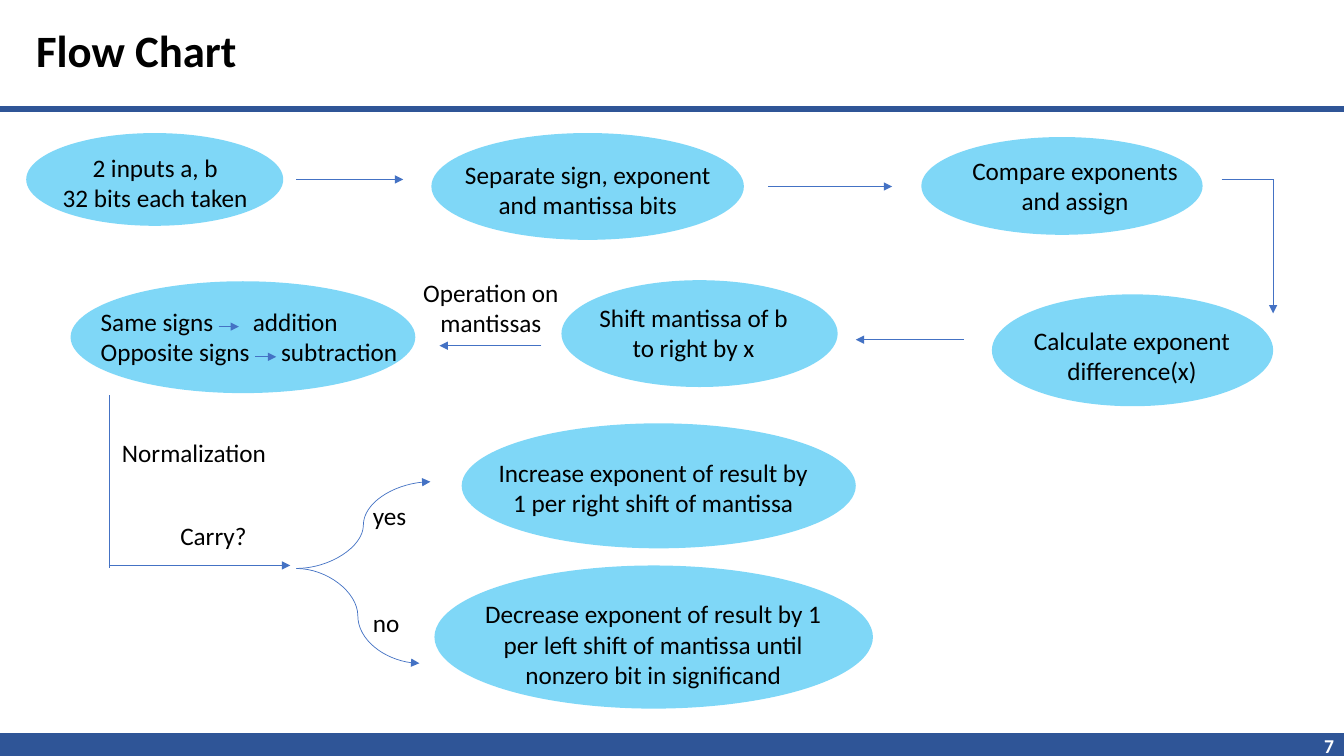
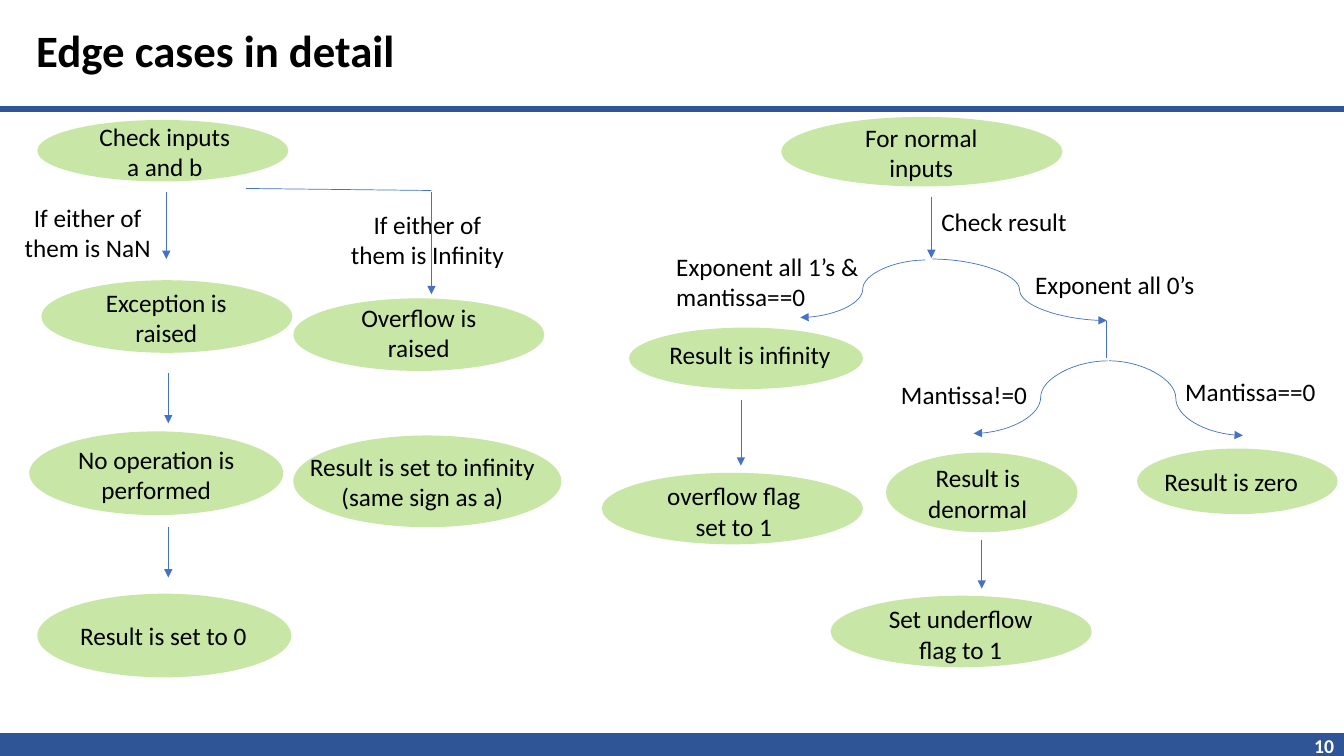
from pptx import Presentation
from pptx import util as u
from pptx.dml.color import RGBColor
from pptx.enum import shapes, text
from pptx.oxml.ns import qn
from lxml import etree

NAVY = RGBColor(0x2F, 0x55, 0x97)
BLUE = RGBColor(0x44, 0x72, 0xC4)
SKY = RGBColor(0x00, 0xB0, 0xF0)
GREEN = RGBColor(0x92, 0xD0, 0x50)
BLACK = RGBColor(0, 0, 0)
WHITE = RGBColor(255, 255, 255)

CELL = u.Inches(0.1)
COLS, ROWS = 133.33, 75
PAGE = (0, 0)
MID, LEFT, RIGHT = text.PP_ALIGN.CENTER, text.PP_ALIGN.LEFT, text.PP_ALIGN.RIGHT
BODY = {"size": u.Pt(18), "name": "Calibri", "bold": False}
TITLE = {"size": u.Pt(32), "name": "Calibri", "bold": True}
PAGENO = {"size": u.Pt(14), "name": "Calibri", "bold": True}
STRAIGHT, CURVE = shapes.MSO_CONNECTOR.STRAIGHT, shapes.MSO_CONNECTOR.CURVE


def spot(box, *cells):
    """Turn column and row pairs within a box into lengths on the slide."""
    shift = (box[0], box[1], 0, 0)
    return [int((cell + start) * CELL) for cell, start in zip(cells, shift)]


def ends(box, cells):
    """Turn the two end points of a line into lengths on the slide."""
    return spot(box, *cells[:2]) + spot(box, *cells[2:])


def write(slide, box, area, lines, align=MID, style=BODY, color=BLACK, tabs=()):
    """Write lines of text in an area and return its frame."""
    frame = slide.shapes.add_textbox(*spot(box, *area)).text_frame
    frame.word_wrap = True
    for i, line in enumerate(lines):
        para = frame.add_paragraph() if i else frame.paragraphs[0]
        para.alignment = align
        run = para.add_run()
        run.text = line
        for key, value in style.items():
            setattr(run.font, key, value)
        run.font.color.rgb = color
        if tabs:
            stops = etree.SubElement(para._p.get_or_add_pPr(), qn("a:tabLst"))
            etree.SubElement(stops, qn("a:tab"), pos=str(int(tabs[i] * CELL)), algn="l")
    return frame


def label(slide, box, words, x, y, w, rows=1, align=MID):
    """Write body text at a spot, as tall as its rows."""
    lines = words if isinstance(words, tuple) else (words,)
    write(slide, box, (x, y, w, 1 + 3 * rows), lines, align)


def oval(slide, box, area, color):
    """Draw a half clear ellipse."""
    shape = slide.shapes.add_shape(shapes.MSO_SHAPE.OVAL, *spot(box, *area))
    shape.shadow.inherit = False
    shape.line.fill.background()
    shape.fill.solid()
    shape.fill.fore_color.rgb = color
    tint = shape._element.spPr.find(".//" + qn("a:srgbClr"))
    etree.SubElement(tint, qn("a:alpha"), val="50000")


def link(slide, box, cells, kind=STRAIGHT, head=True, width=0.5, color=BLUE):
    """Draw a line between two points, with or without an arrowhead."""
    line = slide.shapes.add_connector(kind, *ends(box, cells))
    line.line.width = u.Pt(width)
    line.line.color.rgb = color
    if head:
        etree.SubElement(line.line._get_or_add_ln(), qn("a:tailEnd"), type="triangle")
    etree.SubElement(line._element.spPr, qn("a:effectLst"))


def draw(slide, box, color, nodes=(), notes=(), arrows=(), curves=(), bars=()):
    """Draw the nodes, notes and links of one region."""
    for area, note in nodes:
        oval(slide, box, area, color)
        if note:
            label(slide, box, *note)
    for note in notes:
        label(slide, box, *note)
    for cells in arrows:
        link(slide, box, cells)
    for cells in curves:
        link(slide, box, cells, CURVE)
    for cells in bars:
        link(slide, box, cells, head=False)


def frame(deck, title, number):
    """Add a slide with its title, bands and number."""
    slide = deck.slides.add_slide(deck.slide_layouts[6])
    for row, width in ((10.8, 4), (73.9, 17.5)):
        link(slide, PAGE, (0, row, COLS, row), head=False, width=width, color=NAVY)
    head = write(slide, PAGE, (2.6, 2.2, 102.7, 6.1), [title], LEFT, TITLE)
    head.vertical_anchor = text.MSO_ANCHOR.MIDDLE
    head.paragraphs[0].line_spacing = 0.9
    write(slide, PAGE, (COLS - 11.1, 72.3, 11.1, 2.2), [str(number)], RIGHT, PAGENO, WHITE)
    return slide


def steps(slide, box):
    """Draw the row of first steps."""
    draw(
        slide, box, SKY,
        nodes=[
            ((2.6, 1.2, 25.5, 9.2),
             (("2 inputs a, b", "32 bits each taken"), 4.1, 2.6, 22.6, 2)),
            ((42.8, 1.2, 31, 10.6),
             ("Separate sign, exponent and mantissa bits", 43.7, 3.3, 29.2, 2)),
            ((91.4, 1.6, 27.9, 9.7),
             ("Compare exponents and assign", 94, 2.9, 25.3, 2)),
        ],
        arrows=[(29.4, 5.8, 40, 5.8), (76.2, 6.5, 88.5, 6.5), (126.3, 5.8, 126.3, 19.1)],
        bars=[(121.2, 5.8, 126.3, 5.8)],
    )


def shift(slide, box):
    """Draw the row that shifts and adds, from right to left."""
    draw(
        slide, box, SKY,
        nodes=[
            ((98.4, 2.2, 27.9, 11.1),
             ("Calculate exponent difference(x)", 100.3, 4.8, 24, 2)),
            ((55.7, 0.8, 27.4, 10.6),
             ("Shift mantissa of b to right by x", 58.4, 2.5, 20.8, 2)),
            ((7, 0.9, 34.2, 11.1), None),
        ],
        notes=[("Operation on mantissas", 40.8, 0, 15.8, 2)],
        arrows=[
            (95.6, 6.7, 84.9, 6.7), (53.7, 7.3, 43.6, 7.3),
            (21.7, 5.4, 23.7, 5.4), (25.3, 8.4, 27.4, 8.4),
        ],
    )
    signs = ["Same signs\taddition", "Opposite signs\tsubtraction"]
    write(slide, box, (9, 2.9, 32.5, 7.1), signs, LEFT, tabs=(15.1, 17.9))


def carry(slide, box):
    """Draw the branch on the carry."""
    draw(
        slide, box, SKY,
        nodes=[
            ((45.8, 3, 39.1, 12.4),
             ("Increase exponent of result by 1 per right shift of mantissa",
              47.9, 5.9, 33.8, 2)),
            ((43.1, 17.1, 43.5, 14.2),
             ("Decrease exponent of result by 1 per left shift of mantissa "
              "until nonzero bit in significand", 45.2, 19.9, 39.2, 3)),
        ],
        notes=[
            ("Normalization", 8.6, 3.9, 21.3),
            ("Carry?", 16.9, 12.1, 11.6, 1, LEFT),
            ("yes", 36, 10.1, 7.6, 1, LEFT),
            ("no", 36, 20.8, 6.1, 1, LEFT),
        ],
        arrows=[(10.8, 17.1, 28.8, 17.1)],
        curves=[(29.4, 17.4, 41.6, 26.8), (29.4, 17.4, 42.7, 8.8)],
        bars=[(10.8, 0.2, 10.8, 17.4)],
    )


def inputs(slide, box):
    """Draw the checks made on the inputs."""
    draw(
        slide, box, GREEN,
        nodes=[
            ((3.7, 0.9, 24.9, 6.1), ("Check inputs a and b", 8.7, 0.5, 15.3, 2)),
            ((4.1, 16.8, 24.9, 7.2), ("Exception is raised", 7.2, 17, 18.6, 2)),
            ((2.9, 31.8, 25.2, 8.3), ("No operation is performed", 6.2, 32.6, 18.6, 2)),
            ((3.7, 47.9, 25.2, 8.3), ("Result is set to 0", 5.7, 50.1, 21)),
            ((29.1, 18.6, 24.9, 7.2), ("Overflow is raised", 34.1, 18.5, 14.9, 2)),
            ((29.1, 32.2, 26.6, 9.1),
             ("Result is set to infinity (same sign as a)", 28.6, 33.3, 26.6, 2)),
        ],
        notes=[
            ("If either of them is NaN", 0.3, 8.6, 16.8, 2),
            ("If either of them is Infinity", 33.3, 9.3, 18.2, 2),
        ],
        arrows=[
            (16.5, 8, 16.5, 14.7), (16.7, 26, 16.7, 31),
            (16.7, 41.3, 16.7, 46.3), (42.8, 8, 42.8, 18.2),
        ],
        bars=[(24.4, 7.7, 42.8, 7.9)],
    )


def results(slide, box):
    """Draw the checks made on the result."""
    draw(
        slide, box, GREEN,
        nodes=[
            ((18.5, 0.6, 27.9, 6.9), ("For normal inputs", 22.9, 0.6, 19, 2)),
            ((3.4, 21.5, 23.2, 6.1), ("Result is infinity", 3.8, 22.2, 23.2)),
            ((0.7, 35.9, 25.9, 7.1), ("overflow flag set to 1", 5.5, 36.2, 16.6, 2)),
            ((53.8, 33.5, 19.9, 6.5), ("Result is zero", 55.1, 34.8, 16.1)),
            ((28.9, 33.9, 19, 7.9), ("Result is denormal", 30.3, 34.4, 15.4, 2)),
            ((23.4, 48.1, 25.9, 7.1), ("Set underflow flag to 1", 27.3, 48.4, 18, 2)),
        ],
        notes=[
            ("Check result", 33.4, 9, 20, 1, LEFT),
            ("Exponent all 1’s & mantissa==0", 7.1, 13.4, 23.2, 2, LEFT),
            ("Exponent all 0’s", 42.7, 15.2, 19, 1, LEFT),
            ("Mantissa!=0", 29.4, 26.1, 15.7, 1, LEFT),
            ("Mantissa==0", 57.6, 25.8, 15.7, 1, LEFT),
        ],
        arrows=[
            (33.4, 8.5, 33.4, 14.6), (14.5, 28.7, 14.5, 35.2), (38.4, 42.6, 38.4, 47.4),
        ],
        curves=[
            (33.5, 14.7, 50.8, 20.8), (32.8, 14.8, 20.4, 20.5),
            (50.9, 24.8, 37.6, 32), (51, 24.8, 64.3, 32.2),
        ],
        bars=[(50.8, 20.8, 50.8, 24.5)],
    )


def main():
    """Build the two slides and save them."""
    deck = Presentation()
    deck.slide_width, deck.slide_height = int(COLS * CELL), ROWS * CELL
    flow = frame(deck, "Flow Chart", 7)
    steps(flow, (0, 12))
    shift(flow, (0, 27))
    carry(flow, (0, 39))
    edge = frame(deck, "Edge cases in detail", 10)
    inputs(edge, (0, 11))
    results(edge, (59, 11))
    deck.save("out.pptx")


if __name__ == "__main__":
    main()
